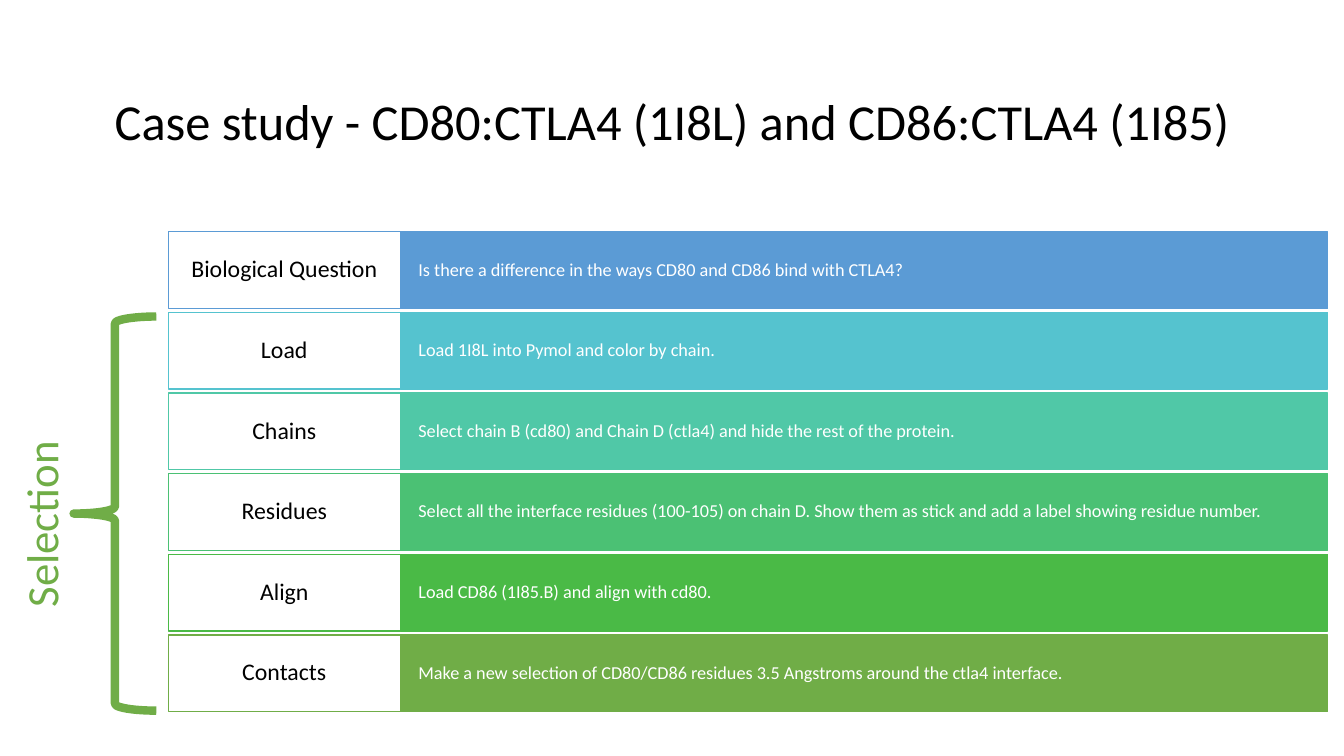
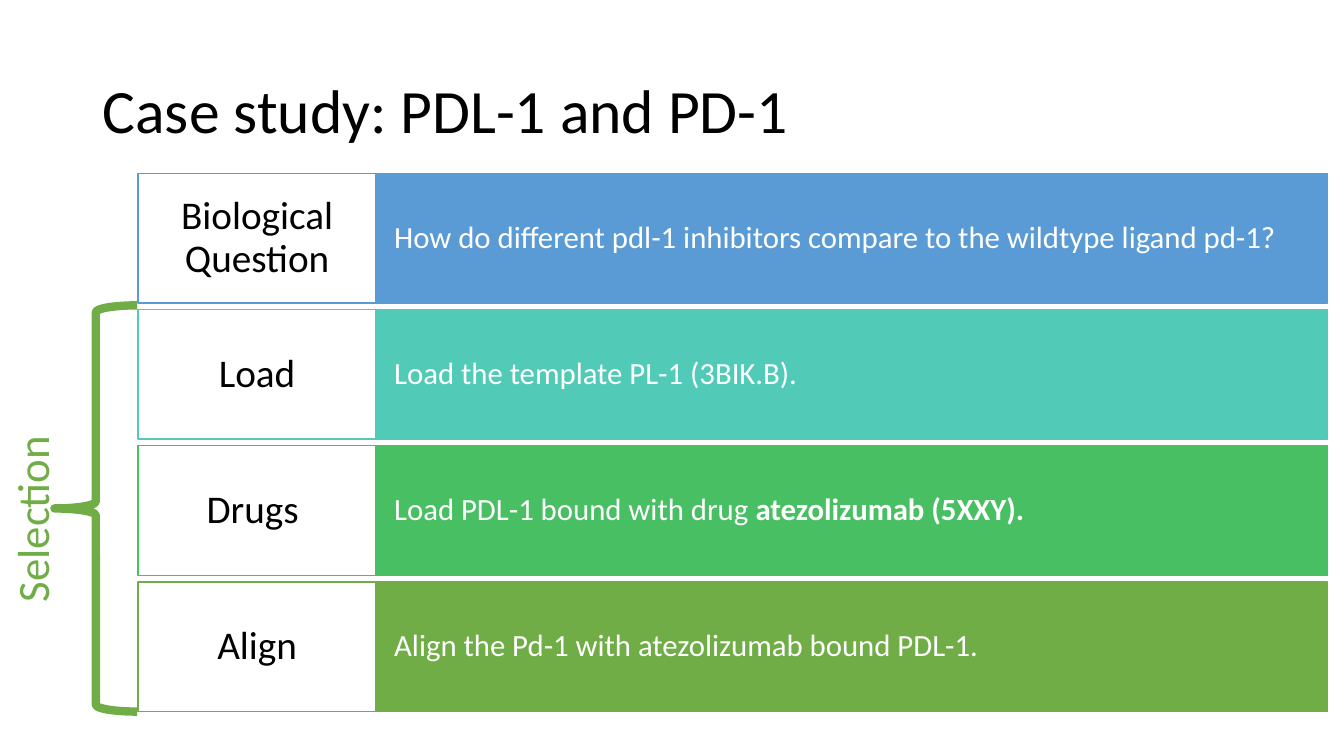
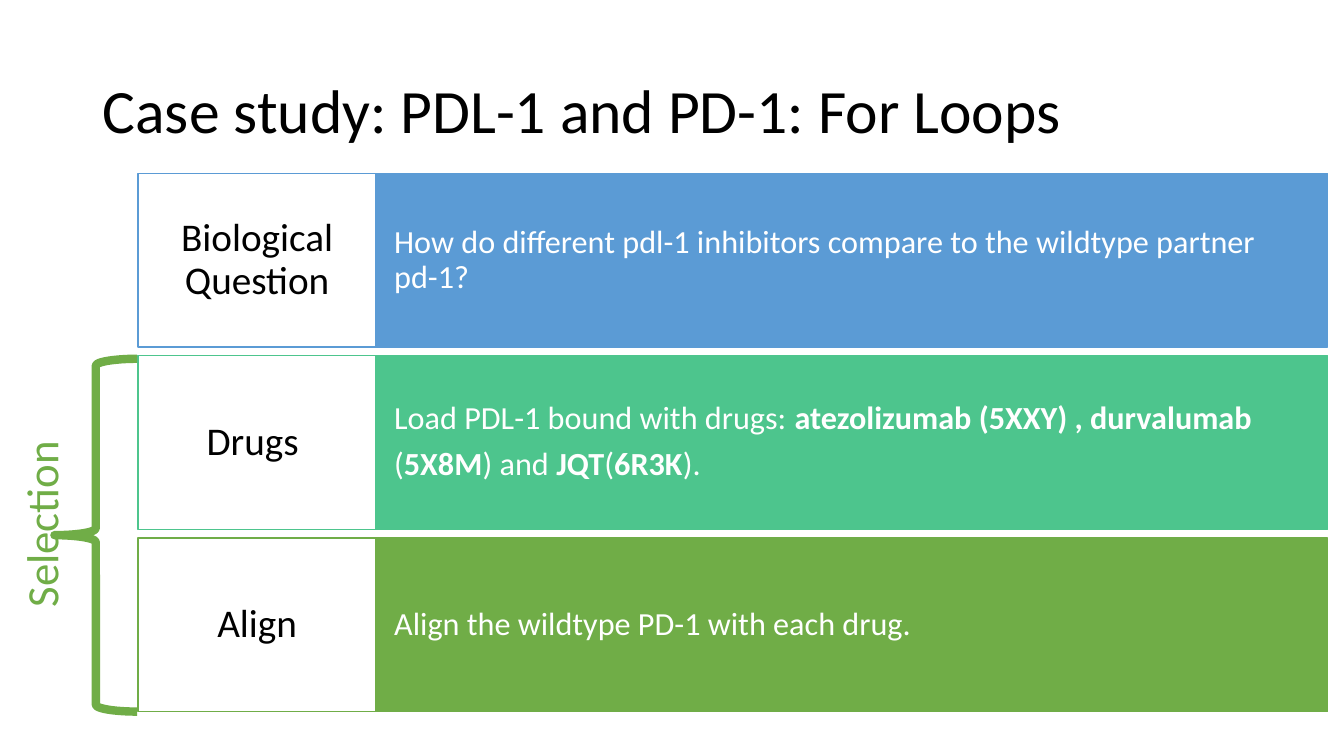
import pptx
import pptx.util
from pptx.dml.color import RGBColor
from pptx.enum.shapes import MSO_SHAPE
from pptx.enum.text import MSO_ANCHOR, MSO_AUTO_SIZE, PP_ALIGN
from pptx.util import Inches

FONT = "Calibri"
BLACK = RGBColor(0x00, 0x00, 0x00)
WHITE = RGBColor(0xFF, 0xFF, 0xFF)
BLUE = RGBColor(0x5B, 0x9B, 0xD5)
CYAN = RGBColor(0x55, 0xC3, 0xCF)
TURQUOISE = RGBColor(0x52, 0xCA, 0xB8)
TEAL = RGBColor(0x50, 0xC8, 0xA7)
MINT = RGBColor(0x4D, 0xC5, 0x8D)
EMERALD = RGBColor(0x4B, 0xC1, 0x74)
JADE = RGBColor(0x49, 0xBF, 0x64)
GREEN = RGBColor(0x4A, 0xBA, 0x46)
OLIVE = RGBColor(0x70, 0xAD, 0x47)

LABEL_SHARE = 0.2    # label width as a share of the row
GAP_SHARE = 0.05     # gap between rows as a share of row height
WIDE_BOX = (1.37, 1.72, 11.8, 5.34)
WIDE_TITLE = {"box": (0.92, 0.4, 11.5, 1.45), "size": 44,
              "align": PP_ALIGN.LEFT}

CASES = [
    {
        "title": "Case study - CD80:CTLA4 (1I8L) and CD86:CTLA4 (1I85)",
        "title_style": {"box": (0.92, 0.61, 11.5, 1.24), "size": 36,
                        "align": PP_ALIGN.CENTER},
        "rows_box": (1.67, 2.3, 11.5, 4.76),
        "label_size": 17,
        "step_size": 13,
        "brace_box": (0.73, 3.14, 0.82, 3.91),
        "caption_box": (-0.53, 4.87, 1.87, 0.64),
        "rows": [
            (BLUE, "Biological Question",
             "Is there a difference in the ways CD80 and CD86 bind with CTLA4?"),
            (CYAN, "Load", "Load 1I8L into Pymol and color by chain."),
            (TEAL, "Chains",
             "Select chain B (cd80) and Chain D (ctla4) and hide the rest of the protein."),
            (EMERALD, "Residues",
             "Select all the interface residues (100-105) on chain D. "
             "Show them as stick and add a label showing residue number."),
            (GREEN, "Align", "Load CD86 (1I85.B) and align with cd80."),
            (OLIVE, "Contacts",
             "Make a new selection of CD80/CD86 residues 3.5 Angstroms "
             "around the ctla4 interface."),
        ],
    },
    {
        "title": "Case study: PDL-1 and PD-1",
        "title_style": WIDE_TITLE,
        "rows_box": WIDE_BOX,
        "label_size": 28,
        "step_size": 22,
        "brace_box": (0.54, 3.03, 0.82, 4.03),
        "caption_box": (-0.62, 4.82, 1.87, 0.64),
        "rows": [
            (BLUE, "Biological Question",
             "How do different pdl-1 inhibitors compare to the wildtype ligand pd-1?"),
            (TURQUOISE, "Load", "Load the template PL-1 (3BIK.B)."),
            (JADE, "Drugs ",
             "Load PDL-1 bound with drug **atezolizumab (5XXY).**"),
            (OLIVE, "Align", "Align the Pd-1 with atezolizumab bound PDL-1."),
        ],
    },
    {
        "title": "Case study: PDL-1 and PD-1: For Loops",
        "title_style": WIDE_TITLE,
        "rows_box": WIDE_BOX,
        "label_size": 28,
        "step_size": 23,
        "brace_box": (0.54, 3.56, 0.82, 3.5),
        "caption_box": (-0.53, 4.87, 1.87, 0.64),
        "rows": [
            (BLUE, "Biological Question",
             "How do different pdl-1 inhibitors compare to the wildtype partner pd-1?"),
            (MINT, "Drugs ",
             "Load PDL-1 bound with drugs: **atezolizumab (5XXY) , durvalumab**\n"
             "(**5X8M**) and **JQT**(**6R3K**)."),
            (OLIVE, "Align", "Align the wildtype PD-1 with each drug."),
        ],
    },
]


def inches(box):
    return [Inches(length) for length in box]


def set_all(target, values):
    for name, value in values.items():
        setattr(target, name, value)


def write(shape, text, size, color, align, line_spacing=0.9, **frame_format):
    """Fill a shape with text: newlines part paragraphs, ** switches bold."""
    frame = shape.text_frame
    set_all(frame, {"word_wrap": True, "vertical_anchor": MSO_ANCHOR.MIDDLE,
                    **frame_format})
    for index, line in enumerate(text.split("\n")):
        paragraph = frame.add_paragraph() if index else frame.paragraphs[0]
        set_all(paragraph, {"alignment": align, "line_spacing": line_spacing})
        if index:
            paragraph.space_before = pptx.util.Pt(round(0.35 * size))
        for part, words in enumerate(line.split("**")):
            if words:
                run = paragraph.add_run()
                run.text = words
                set_all(run.font, {"name": FONT, "size": pptx.util.Pt(size),
                                   "bold": part % 2 == 1})
                run.font.color.rgb = color


def add_outlined(slide, kind, box, fill, line, width):
    shape = slide.shapes.add_shape(kind, *inches(box))
    shape.shadow.inherit = False
    if fill is None:
        shape.fill.background()
    else:
        shape.fill.solid()
        shape.fill.fore_color.rgb = fill
    shape.line.color.rgb = line
    shape.line.width = pptx.util.Pt(width)
    return shape


def add_title(slide, text, box, size, align):
    title = slide.shapes.add_textbox(*inches(box))
    write(title, text, size, BLACK, align)


def add_cell(slide, box, fill, line, text, size, color, align, side, edge):
    cell = add_outlined(slide, MSO_SHAPE.RECTANGLE, box, fill, line, 1)
    write(cell, text, size, color, align,
          margin_left=Inches(side), margin_right=Inches(side),
          margin_top=Inches(edge), margin_bottom=Inches(edge))


def add_rows(slide, box, rows, label_size, step_size):
    """Stack equal rows in the box, each a white label and a coloured step."""
    left, top, width, height = box
    row_height = height / (len(rows) + GAP_SHARE * (len(rows) - 1))
    label_width = width * LABEL_SHARE
    for index, (color, label, step) in enumerate(rows):
        row_top = top + index * row_height * (1 + GAP_SHARE)
        add_cell(slide, (left + label_width, row_top, width - label_width, row_height),
                 color, color, step, step_size, WHITE, PP_ALIGN.LEFT,
                 0.18, row_height / 4)
        add_cell(slide, (left, row_top, label_width, row_height),
                 WHITE, color, label, label_size, BLACK, PP_ALIGN.CENTER,
                 0.12, row_height / 10)


def add_selection_brace(slide, brace_box, caption_box):
    add_outlined(slide, MSO_SHAPE.LEFT_BRACE, brace_box, None, OLIVE, 6)
    caption = slide.shapes.add_textbox(*inches(caption_box))
    caption.rotation = 270
    write(caption, "Selection", 32, OLIVE, PP_ALIGN.LEFT, line_spacing=1.0,
          word_wrap=False, vertical_anchor=MSO_ANCHOR.TOP,
          auto_size=MSO_AUTO_SIZE.SHAPE_TO_FIT_TEXT)


def add_case_slide(presentation, case):
    slide = presentation.slides.add_slide(presentation.slide_layouts[6])
    add_title(slide, case["title"], **case["title_style"])
    add_rows(slide, case["rows_box"], case["rows"],
             case["label_size"], case["step_size"])
    add_selection_brace(slide, case["brace_box"], case["caption_box"])


def main():
    presentation = pptx.Presentation()
    set_all(presentation, {"slide_width": Inches(13.33),
                           "slide_height": Inches(7.5)})
    for case in CASES:
        add_case_slide(presentation, case)
    presentation.save("out.pptx")


if __name__ == "__main__":
    main()
